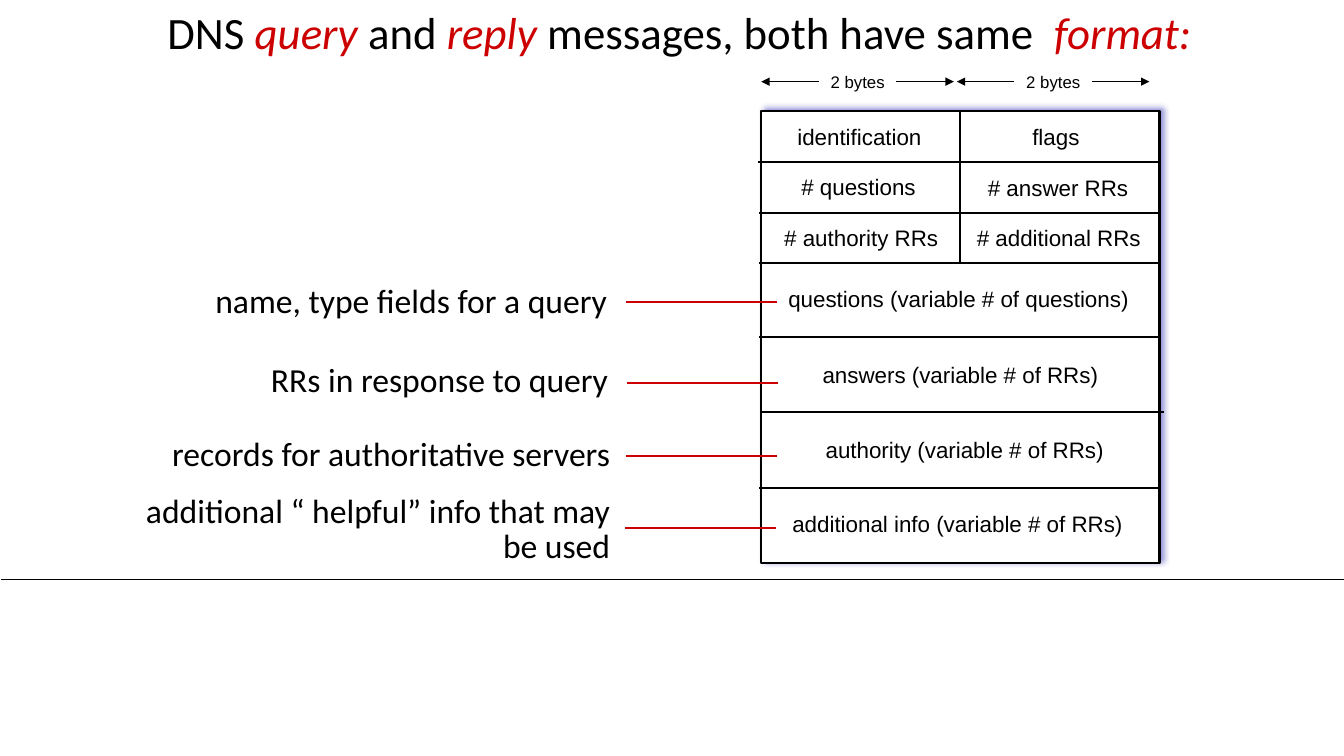
from pptx import Presentation
from pptx.dml.color import RGBColor
from pptx.enum import shapes, text
from pptx.oxml import parse_xml
from pptx.oxml.ns import nsdecls
from pptx.util import Inches, Pt

BLACK, RED, WHITE, SHADOW = "000000", "CC0000", "FFFFFF", "0000A3"

TITLE = [("DNS ", False), ("query ", True), ("and ", False), ("reply", True),
         (" messages, both have same  ", False), ("format:", True)]

# text, left, top, width
FIELDS = [
    ("identification", 7.81, 1.17, 1.43), ("flags", 10.14, 1.17, 0.67),
    ("# questions", 7.85, 1.67, 1.34), ("# answer RRs", 9.7, 1.68, 1.6),
    ("# authority RRs", 7.68, 2.17, 1.73), ("# additional RRs", 9.59, 2.17, 1.83),
    ("questions (variable # of questions)", 7.72, 2.78, 3.59),
    ("answers (variable # of RRs)", 8.06, 3.53, 2.94),
    ("authority (variable # of RRs)", 8.09, 4.28, 2.97),
    ("additional info (variable # of RRs)", 7.76, 5.01, 3.48),
]

# text, left, top, right, height, pointer right end, pointer y
NOTES = [
    ("name, type fields for a query", 1.78, 2.78, 6.12, 0.45, 7.71, 3.0),
    ("RRs in response to query", 1.75, 3.57, 6.13, 0.45, 7.72, 3.8),
    ("records for authoritative servers", 0.9, 4.3, 6.15, 0.45, 7.71, 4.52),
    ("additional “ helpful” info that may be used", 1.1, 4.87, 6.15, 0.79, 7.7, 5.24),
]
POINTER = 1.5

TABLE = (7.55, 1.1, 3.95, 4.49)
# left end, y
ROW_LINES = [(7.52, 1.61), (7.53, 2.11), (7.53, 2.61), (7.53, 3.34), (7.55, 4.09), (7.53, 4.84)]
ROW_LENGTH = 3.99
MIDDLE = 9.52

BYTES_LEFTS = [7.55, 9.49]
BYTES_SPAN, BYTES_ARROW, BYTES_Y = 1.91, 0.57, 0.81


def rgb(color):
    return RGBColor.from_string(color)


def add_line(x1, y1, x2, y2, color=BLACK, width=1.5, arrow=False):
    s = slide.shapes.add_connector(shapes.MSO_CONNECTOR.STRAIGHT,
                                   Inches(x1), Inches(y1), Inches(x2), Inches(y2))
    s.line.color.rgb = rgb(color)
    s.line.width = Pt(width)
    if arrow:
        s.line._get_or_add_ln().append(parse_xml(f'<a:tailEnd {nsdecls("a")} type="triangle"/>'))
    s._element.spPr.append(parse_xml(f'<a:effectLst {nsdecls("a")}/>'))


def add_text(runs, x, y, w, h, size, font, wrap=True):
    """Add a one-paragraph box from (text, emphasised) runs; return its frame and paragraph."""
    tf = slide.shapes.add_textbox(Inches(x), Inches(y), Inches(w), Inches(h)).text_frame
    tf.word_wrap = wrap
    p = tf.paragraphs[0]
    for words, emphasised in runs:
        r = p.add_run()
        r.text = words
        r.font.size, r.font.name, r.font.italic = Pt(size), font, emphasised
        r.font.color.rgb = rgb(RED if emphasised else BLACK)
    return tf, p


def add_message_box():
    s = slide.shapes.add_shape(shapes.MSO_SHAPE.RECTANGLE, *map(Inches, TABLE))
    s.fill.solid()
    s.fill.fore_color.rgb = rgb(WHITE)
    s.line.color.rgb = rgb(BLACK)
    s.line.width = Pt(1.5)
    s._element.spPr.append(parse_xml(
        f'<a:effectLst {nsdecls("a")}><a:outerShdw blurRad="{Pt(4)}" dist="{Pt(3)}" '
        f'dir="{315 * 60000}" algn="ctr" rotWithShape="0"><a:srgbClr val="{SHADOW}">'
        '<a:alpha val="40000"/></a:srgbClr></a:outerShdw></a:effectLst>'))


prs = Presentation()
prs.slide_width, prs.slide_height = Inches(13.33), Inches(7.5)
slide = prs.slides.add_slide(prs.slide_layouts[6])

add_line(0.01, 5.75, 13.33, 5.75, width=0.5)

add_message_box()
for left, y in ROW_LINES:
    add_line(left, y, left + ROW_LENGTH, y)
add_line(MIDDLE, TABLE[1], MIDDLE, 2.6)
for words, x, y, w in FIELDS:
    add_text([(words, False)], x, y, w, 0.37, 16, "Arial", wrap=False)

for left in BYTES_LEFTS:
    right = left + BYTES_SPAN
    add_text([("2 bytes", False)], left + 0.59, 0.66, 0.74, 0.3, 12, "Arial", wrap=False)
    add_line(left + BYTES_ARROW, BYTES_Y, left, BYTES_Y, width=0.75, arrow=True)
    add_line(right - BYTES_ARROW, BYTES_Y, right, BYTES_Y, width=0.75, arrow=True)

tf, p = add_text(TITLE, 1.42, 0.06, 11.37, 0.56, 32, "Calibri")
tf.margin_left = Inches(0.24)
p.line_spacing, p.space_before = 0.9, Pt(10)

for words, left, top, right, h, tip, y in NOTES:
    tf, p = add_text([(words, False)], left, top, right - left, h, 24, "Calibri")
    tf.vertical_anchor = text.MSO_ANCHOR.MIDDLE
    p.alignment, p.line_spacing = text.PP_ALIGN.RIGHT, 0.85
    add_line(tip, y, tip - POINTER, y, RED)

prs.save("out.pptx")
